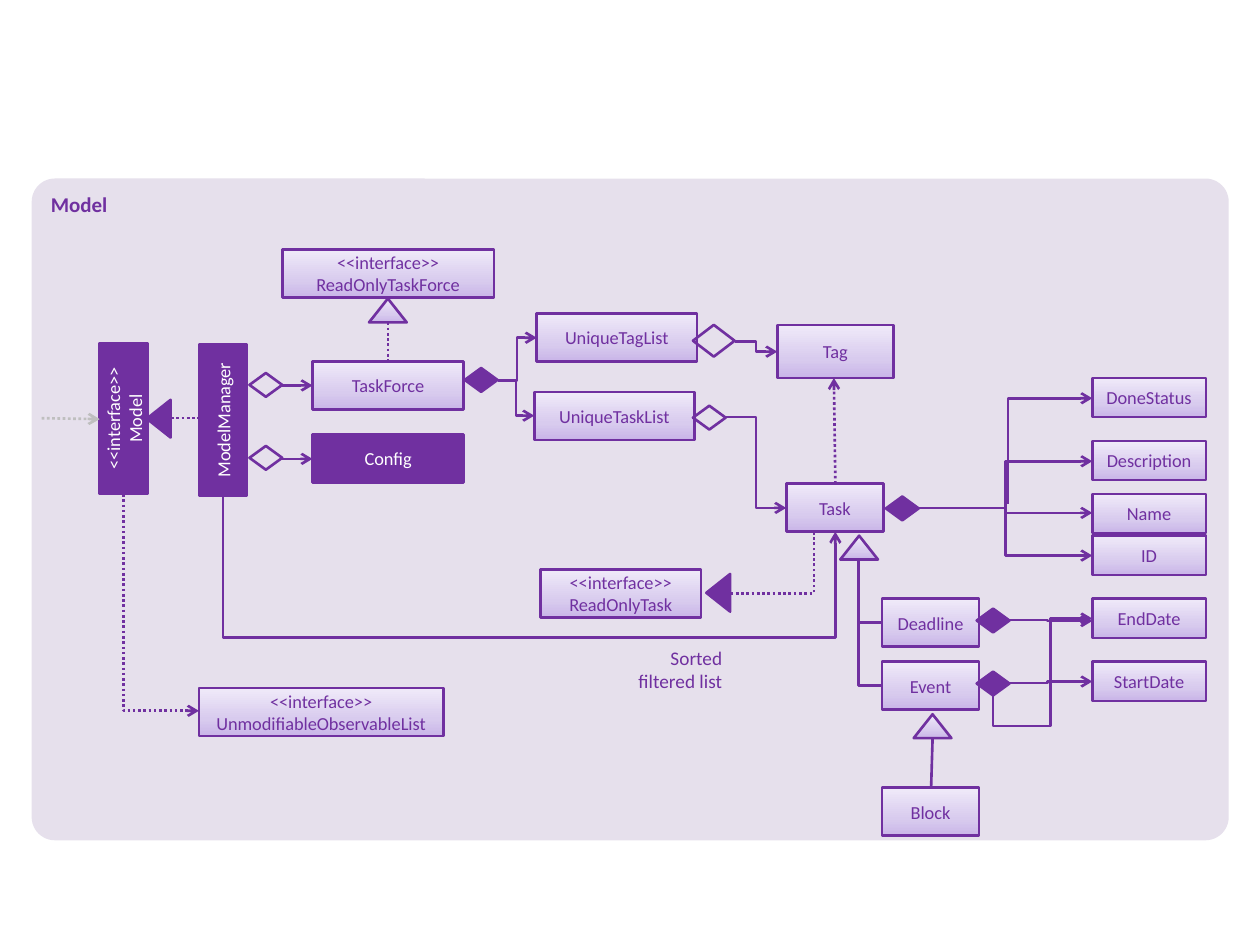
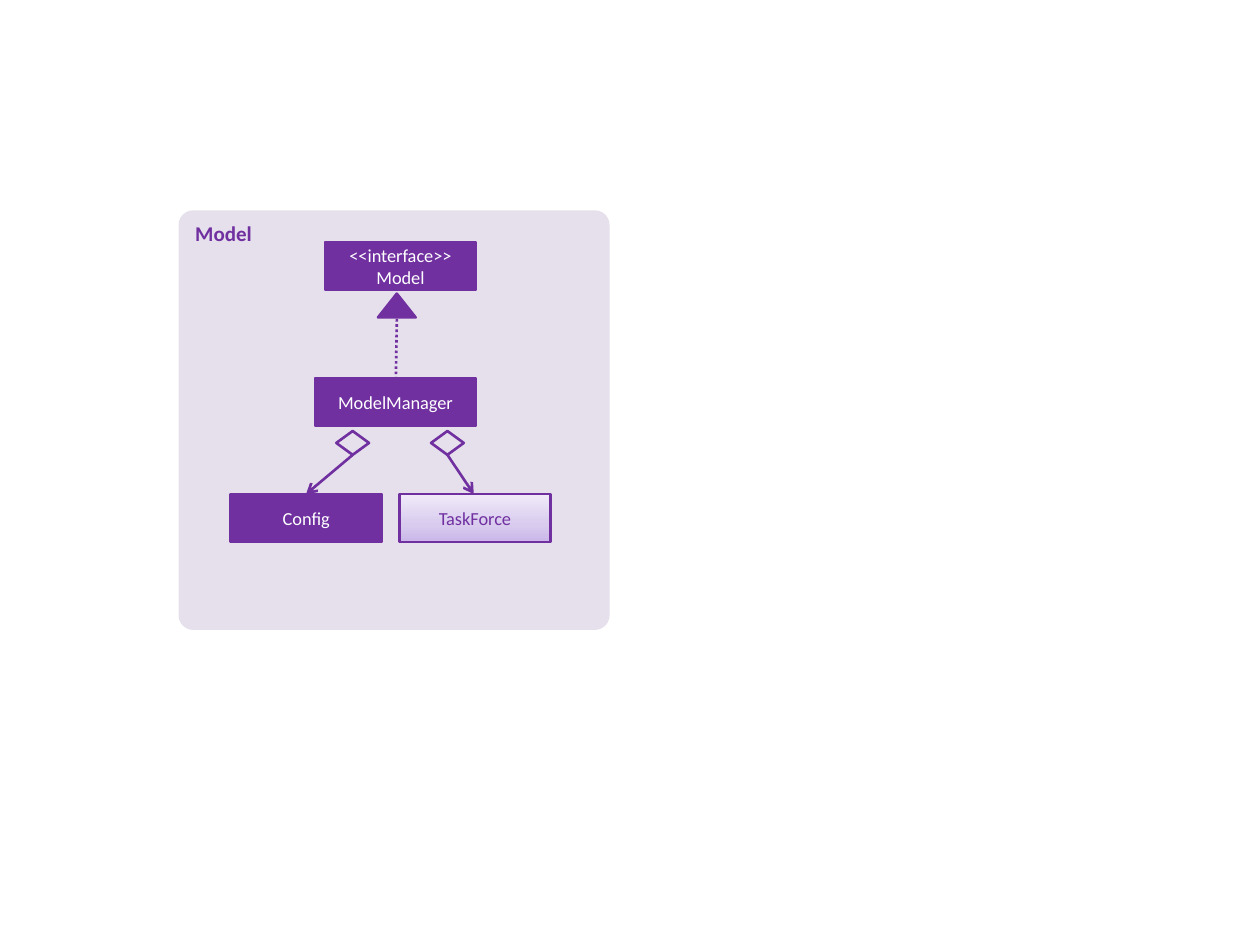
from copy import deepcopy

from lxml.etree import SubElement
from pptx import Presentation
from pptx.dml.color import RGBColor
from pptx.enum.dml import MSO_LINE
from pptx.enum.shapes import MSO_CONNECTOR as LINK, MSO_SHAPE as SHAPE
from pptx.enum.text import MSO_ANCHOR as ANCHOR, PP_ALIGN as ALIGN
from pptx.oxml.ns import qn
from pptx.util import Cm, Pt

PURPLE, LILAC, GREY, WHITE = "7030A0", "E6E0EC", "BFBFBF", "FFFFFF"
SHADES = [(0, "C9B5E8"), (0.35, "D8CBEE"), (1, "F0EAF9")]
BOX_HEIGHT = 0.97
HEADINGS = {"right": 0, "up": 90, "left": 180, "down": 270}


def color(code):
    """Turn a hex string into a colour."""
    return RGBColor.from_string(code)


class Diagram:
    """Hold the class diagram style and the current slide."""

    def __init__(self):
        """Open an empty 4:3 deck."""
        self.deck = Presentation()
        self.deck.slide_width, self.deck.slide_height = Cm(25.4), Cm(19.05)

    def page(self):
        """Start a blank slide."""
        self.shapes = self.deck.slides.add_slide(self.deck.slide_layouts[6]).shapes

    def label(self, shape, text, size, ink, align, bold=False):
        """Set and style the text of a shape."""
        frame = shape.text_frame
        frame.word_wrap = True
        frame.text = text
        for paragraph in frame.paragraphs:
            paragraph.alignment = align
            for run in paragraph.runs:
                run.font.name, run.font.size, run.font.bold = "Calibri", Pt(size), bold
                run.font.color.rgb = color(ink)

    def paint(self, shape, style):
        """Fill a shape as solid, shaded or open."""
        if style == "solid":
            shape.fill.solid()
            shape.fill.fore_color.rgb = color(PURPLE)
        elif style == "open":
            shape.fill.background()
        else:
            shape.fill.gradient()
            shape.fill.gradient_angle = 90
            first = shape.element.spPr.find(".//" + qn("a:gs"))
            first.addnext(deepcopy(first))
            for stop, (position, shade) in zip(shape.fill.gradient_stops, SHADES):
                stop.position = position
                stop.color.rgb = color(shade)

    def outlined(self, kind, x, y, width, height, style, rotation=0):
        """Add a preset shape with the purple outline."""
        shape = self.shapes.add_shape(kind, Cm(x), Cm(y), Cm(width), Cm(height))
        shape.shadow.inherit = False
        shape.rotation = rotation
        self.paint(shape, style)
        shape.line.color.rgb, shape.line.width = color(PURPLE), Pt(1.5)
        return shape

    def panel(self, title, x, y, width, height):
        """Add the rounded component background."""
        panel = self.shapes.add_shape(SHAPE.ROUNDED_RECTANGLE, Cm(x), Cm(y), Cm(width), Cm(height))
        panel.adjustments[0] = 0.035
        panel.shadow.inherit = False
        panel.fill.solid()
        panel.fill.fore_color.rgb = color(LILAC)
        panel.line.fill.background()
        panel.text_frame.vertical_anchor = ANCHOR.TOP
        self.label(panel, title, 12, PURPLE, ALIGN.LEFT, True)

    def box(self, text, x, y, width=3.05, height=BOX_HEIGHT, style="shaded", rotation=0):
        """Add a class box."""
        box = self.outlined(SHAPE.RECTANGLE, x, y, width, height, style, rotation)
        box.text_frame.vertical_anchor = ANCHOR.MIDDLE
        self.label(box, text, 10.5, WHITE if style == "solid" else PURPLE, ALIGN.CENTER)

    def triangle(self, x, y, style="shaded", rotation=0):
        """Add an inheritance head."""
        self.outlined(SHAPE.ISOSCELES_TRIANGLE, x, y, 0.76, 0.48, style, rotation)

    def diamond(self, x, y, style="open", width=0.66, height=0.48):
        """Add an aggregation or composition mark."""
        self.outlined(SHAPE.FLOWCHART_DECISION, x, y, width, height, style)

    def note(self, text, x, y, width, height):
        """Add a right-aligned remark."""
        note = self.shapes.add_textbox(Cm(x), Cm(y), Cm(width), Cm(height))
        self.label(note, text, 11, PURPLE, ALIGN.RIGHT)

    def stroke(self, link, arrow, dotted, ink):
        """Style a connector."""
        link.line.color.rgb, link.line.width = color(ink), Pt(1.5)
        if dotted:
            link.line.dash_style = MSO_LINE.ROUND_DOT
        properties = link.element.spPr
        if arrow:
            SubElement(properties.find(qn("a:ln")), qn("a:tailEnd"), type="arrow")
        SubElement(properties, qn("a:effectLst"))

    def line(self, start, end, arrow=False, dotted=False, ink=PURPLE):
        """Add a straight connector."""
        link = self.shapes.add_connector(LINK.STRAIGHT, *map(Cm, start + end))
        self.stroke(link, arrow, dotted, ink)

    def elbow(self, start, end, heading="right", bends=(0.5,), arrow=True, dotted=False):
        """Add a bent connector that leaves its start in the given heading."""
        (x1, y1), (x2, y2) = start, end
        width, height = abs(x2 - x1), abs(y2 - y1)
        upright = heading in ("up", "down")
        if upright:
            width, height = height, width
        left, top = (x1 + x2 - width) / 2, (y1 + y2 - height) / 2
        link = self.shapes.add_connector(
            LINK.ELBOW, Cm(left), Cm(top), Cm(left + width), Cm(top + height))
        mirrored = {"right": y2 < y1, "left": y2 > y1, "up": x2 > x1, "down": x2 < x1}[heading]
        frame = link.element.spPr.find(qn("a:xfrm"))
        frame.set("rot", str(HEADINGS[heading] * 60000))
        frame.set("flipH", str(int(upright)))
        frame.set("flipV", str(int(mirrored)))
        geometry = link.element.spPr.find(qn("a:prstGeom"))
        geometry.set("prst", f"bentConnector{len(bends) + 2}")
        guides = geometry.find(qn("a:avLst"))
        for number, bend in enumerate(bends, 1):
            SubElement(guides, qn("a:gd"), name=f"adj{number}", fmla=f"val {round(bend * 100000)}")
        self.stroke(link, arrow, dotted, PURPLE)


def draw_full_model(diagram):
    """Draw the complete model component."""
    diagram.page()
    diagram.panel("Model", 0.64, 3.6, 24.13, 13.34)

    diagram.box("<<interface>>\nModel", 0.97, 7.95, style="solid", rotation=270)
    diagram.box("ModelManager", 2.97, 7.98, style="solid", rotation=270)
    diagram.box("Config", 6.3, 8.76, style="solid")
    for text, x, y, width in [
        ("TaskForce", 6.3, 7.29, 3.05),
        ("UniqueTaskList", 10.77, 7.9, 3.23),
        ("UniqueTagList", 10.82, 6.32, 3.23),
        ("Task", 15.85, 9.75, 1.96),
        ("<<interface>>\vReadOnlyTask", 10.9, 11.48, 3.23),
        ("<<interface>>\vReadOnlyTaskForce", 5.69, 5.03, 4.27),
        ("<<interface>>\vUnmodifiableObservableList", 4.01, 13.87, 4.93),
        ("Event", 17.78, 13.34, 1.96),
        ("Deadline", 17.78, 12.07, 1.96),
        ("Block", 17.78, 15.88, 1.96),
    ]:
        diagram.box(text, x, y, width)
    diagram.box("Tag", 15.67, 6.55, 2.34, 1.07)
    for field, y in [("DoneStatus", 7.62), ("Description", 8.89), ("Name", 9.96),
                     ("ID", 10.8), ("EndDate", 12.07), ("StartDate", 13.34)]:
        diagram.box(field, 22.02, y, 2.29, 0.79)

    diagram.line((0.84, 8.43), (2.01, 8.45), arrow=True, dotted=True, ink=GREY)
    diagram.line((3.45, 8.43), (4.04, 8.43), dotted=True)
    diagram.line((7.82, 6.5), (7.82, 7.32), dotted=True)
    diagram.line((16.84, 9.75), (16.81, 7.62), arrow=True, dotted=True)
    diagram.line((18.77, 15.88), (18.8, 14.88))
    for y in (7.77, 9.25):
        diagram.line((5.69, y), (6.3, y), arrow=True)

    for start, end in [
        ((10.03, 7.67), (10.77, 8.38)),
        ((10.03, 7.67), (10.82, 6.81)),
        ((14.63, 8.41), (15.85, 10.24)),
        ((14.81, 6.88), (15.67, 7.09)),
        ((18.52, 10.24), (22.02, 9.3)),
        ((18.52, 10.24), (22.02, 10.34)),
        ((18.52, 10.24), (22.02, 11.2)),
        ((20.22, 12.5), (22.02, 12.52)),
        ((20.22, 13.77), (22.02, 13.74)),
    ]:
        diagram.elbow(start, end)
    for y in (12.55, 13.82):
        diagram.elbow((17.78, y), (17.3, 11.28), "left", (), arrow=False)
    diagram.elbow((14.73, 11.96), (16.33, 10.72), bends=(1.05,), arrow=False, dotted=True)
    diagram.elbow((4.5, 9.96), (16.84, 10.72), "down", (3.8,))
    diagram.elbow((2.49, 9.96), (4.01, 14.33), "down", (), dotted=True)
    diagram.elbow((20.02, 14.02), (22.02, 12.47), "up", (-0.4, 0.58))
    diagram.elbow((20.32, 10.16), (22.02, 8.03), "up", ())

    for x, y in [(2.82, 8.2), (14.1, 11.71)]:
        diagram.triangle(x, y, "solid", 270)
    for x, y in [(7.44, 6.02), (16.94, 10.8), (18.42, 14.4)]:
        diagram.triangle(x, y)
    for x, y in [(5.03, 7.52), (5.03, 8.99), (13.97, 8.18)]:
        diagram.diamond(x, y)
    diagram.diamond(13.97, 6.55, width=0.84, height=0.64)
    for x, y in [(9.37, 7.42), (17.86, 10.01), (19.69, 12.27), (19.69, 13.54)]:
        diagram.diamond(x, y, "solid")
    diagram.note("Sorted filtered list", 12.27, 12.9, 2.54, 1.19)


def draw_model_summary(diagram):
    """Draw the short model component."""
    diagram.page()
    diagram.panel("Model", 3.6, 4.24, 8.69, 8.46)
    diagram.box("<<interface>>\nModel", 6.55, 4.88, style="solid")
    diagram.box("ModelManager", 6.35, 7.62, 3.25, style="solid")
    diagram.box("Config", 4.65, 9.96, style="solid")
    diagram.box("TaskForce", 8.05, 9.96)
    diagram.triangle(7.62, 5.92, "solid")
    diagram.line((8, 6.43), (7.98, 7.62), dotted=True)
    for x, target in [(7.11, 6.17), (9.02, 9.55)]:
        diagram.line((x, 9.17), (target, 9.96), arrow=True)
        diagram.diamond(x - 0.33, 8.69)


diagram = Diagram()
draw_full_model(diagram)
draw_model_summary(diagram)
diagram.deck.save("out.pptx")
